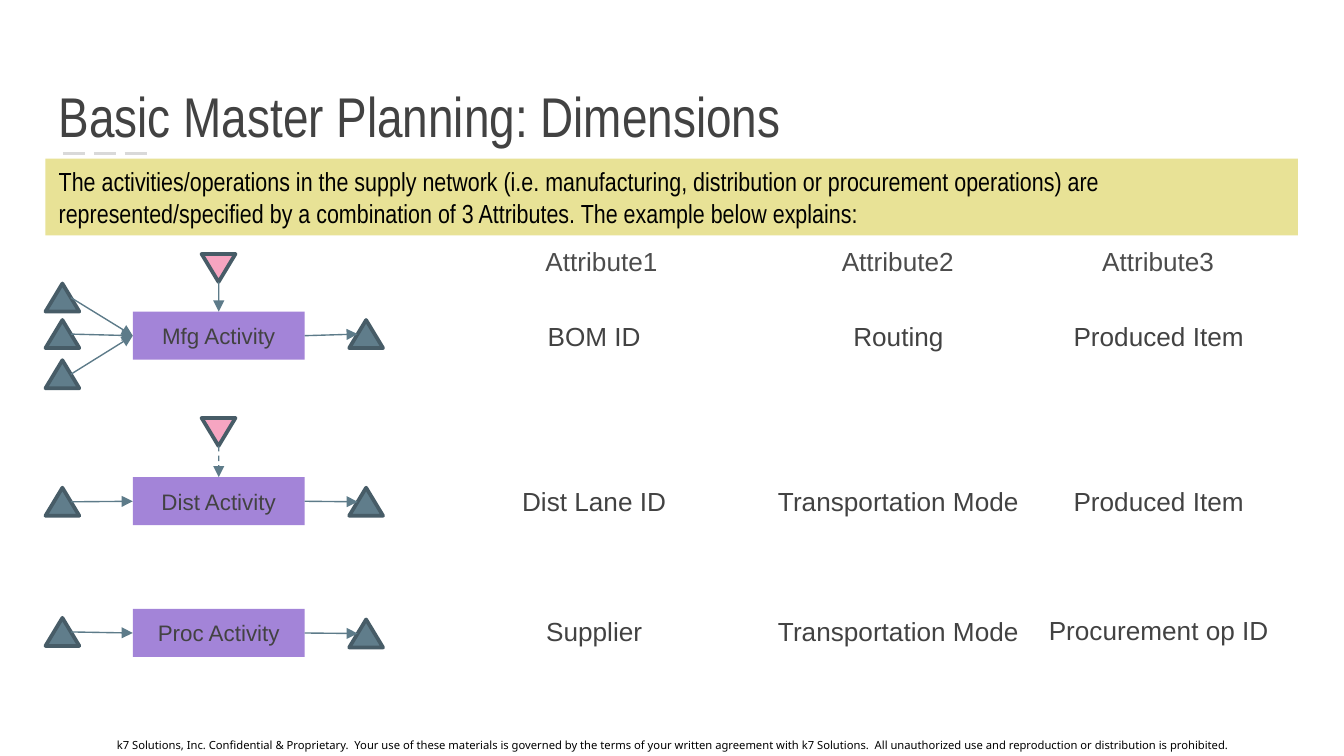
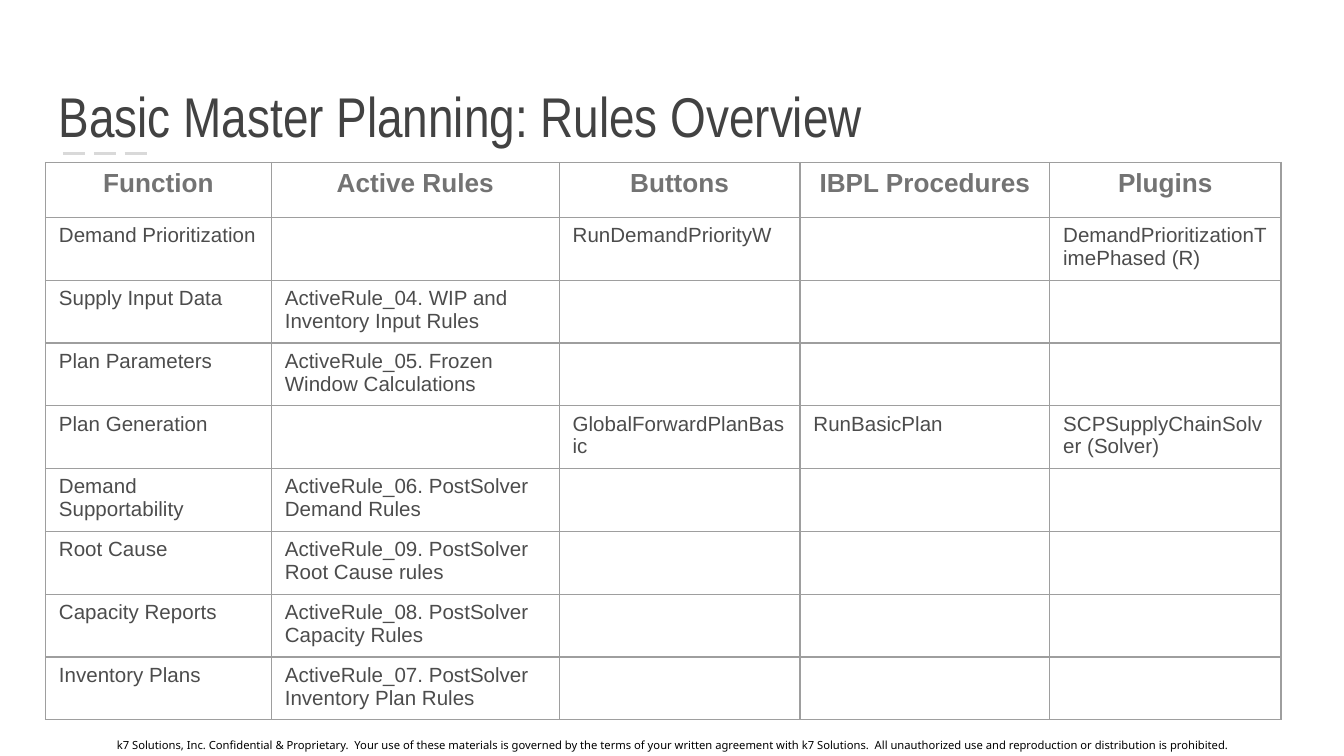
"""Two slides on basic master planning: dimensions and rules overview."""
from lxml.etree import SubElement
from pptx import Presentation
from pptx.dml.color import RGBColor
from pptx.enum.dml import MSO_LINE
from pptx.enum.shapes import MSO_CONNECTOR, MSO_SHAPE
from pptx.enum.text import MSO_ANCHOR, PP_ALIGN
from pptx.oxml.ns import qn
from pptx.util import Cm, Pt

COLORS = {
    "title": "424242", "text": "4C4C4C", "heading": "737373", "black": "000000",
    "rule": "D9D9D9", "band": "C9BA06", "activity": "A384D8", "material": "607D8B",
    "resource": "F6A5C1", "outline": "475C67", "arrow": "5D7B89", "border": "9E9E9E",
}
FOOTER = (
    "k7 Solutions, Inc. Confidential & Proprietary.  Your use of these materials is governed "
    "by the terms of your written agreement with k7 Solutions.  All unauthorized use and "
    "reproduction or distribution is prohibited."
)


def write(holder, text, size, color, font="Arial", align=PP_ALIGN.LEFT,
          anchor=MSO_ANCHOR.TOP, wrap=True, inset=0.13, bold=False):
    frame = holder.text_frame
    frame.word_wrap = wrap
    frame.vertical_anchor = anchor
    frame.margin_top = frame.margin_bottom = Cm(inset)
    paragraph = frame.paragraphs[0]
    paragraph.text = text
    paragraph.alignment = align
    paragraph.font.size = Pt(size)
    paragraph.font.name = font
    paragraph.font.bold = bold
    paragraph.font.color.rgb = RGBColor.from_string(COLORS[color])


def connect(slide, start, end, color="arrow", width=0.75, dash=None, arrow=True):
    link = slide.shapes.add_connector(
        MSO_CONNECTOR.STRAIGHT, *[Cm(value) for value in (*start, *end)])
    link.line.color.rgb = RGBColor.from_string(COLORS[color])
    link.line.width = Pt(width)
    if dash:
        link.line.dash_style = dash
    properties = link._element.spPr
    if arrow:
        SubElement(properties.find(qn("a:ln")), qn("a:tailEnd"), type="triangle")
    SubElement(properties, qn("a:effectLst"))
    return link


deck = Presentation()
deck.slide_width, deck.slide_height = Cm(25.4), Cm(14.29)

slides = []
for title in ("Dimensions", "Rules Overview"):
    slide = deck.slides.add_slide(deck.slide_layouts[6])
    connect(slide, (1.19, 2.9), (2.9, 2.9), "rule", 1.5, MSO_LINE.LONG_DASH, arrow=False)
    notice = slide.shapes.add_textbox(0, Cm(13.82), deck.slide_width, Cm(0.53))
    write(notice, FOOTER, 6, "black", "Noto Sans", PP_ALIGN.CENTER, MSO_ANCHOR.MIDDLE, inset=0.25)
    heading = slide.shapes.add_textbox(Cm(0.86), Cm(1.04), Cm(23.67), Cm(2.03))
    write(heading, f"Basic Master Planning: {title}", 30, "title", "Arial Narrow",
          anchor=MSO_ANCHOR.BOTTOM, inset=0.25)
    slides.append(slide)
dimensions, rules = slides

band = dimensions.shapes.add_shape(MSO_SHAPE.RECTANGLE, Cm(0.86), Cm(3), Cm(23.67), Cm(1.45))
band.shadow.inherit = False
band.fill.solid()
band.fill.fore_color.rgb = RGBColor.from_string(COLORS["band"])
SubElement(band._element.spPr.find(qn("a:solidFill"))[0], qn("a:alpha"), val="42000")
band.line.fill.background()
write(band, "The activities/operations in the supply network (i.e. manufacturing, distribution or "
      "procurement operations) are represented/specified by a combination of 3 Attributes. "
      "The example below explains:", 14, "black", "Arial Narrow")

INPUT_LEFT, RESOURCE_LEFT, OUTPUT_LEFT = 0.86, 3.81, 6.6
MARK_WIDTH, MARK_HEIGHT = 0.64, 0.53
ACTIVITY_LEFT, ACTIVITY_WIDTH, ACTIVITY_HEIGHT = 2.51, 3.25, 0.91

activities = [
    ("Mfg Activity", 5.89, (5.36, 6.05, 6.81), 6.05, 4.8, None),
    ("Dist Activity", 9.02, (9.22,), 9.22, 7.9, MSO_LINE.DASH),
    ("Proc Activity", 11.51, (11.68,), 11.71, None, None),
]
for name, top, inputs, output, resource, dash in activities:
    marks = [(INPUT_LEFT, source, "material") for source in inputs]
    marks.append((OUTPUT_LEFT, output, "material"))
    if resource:
        marks.append((RESOURCE_LEFT, resource, "resource"))
    for left, mark_top, kind in marks:
        mark = dimensions.shapes.add_shape(
            MSO_SHAPE.FLOWCHART_EXTRACT, Cm(left), Cm(mark_top), Cm(MARK_WIDTH), Cm(MARK_HEIGHT))
        mark.shadow.inherit = False
        mark.rotation = 180 if kind == "resource" else 0
        mark.fill.solid()
        mark.fill.fore_color.rgb = RGBColor.from_string(COLORS[kind])
        mark.line.color.rgb = RGBColor.from_string(COLORS["outline"])
        mark.line.width = Pt(2)

    activity = dimensions.shapes.add_shape(
        MSO_SHAPE.RECTANGLE, Cm(ACTIVITY_LEFT), Cm(top), Cm(ACTIVITY_WIDTH), Cm(ACTIVITY_HEIGHT))
    activity.shadow.inherit = False
    activity.fill.solid()
    activity.fill.fore_color.rgb = RGBColor.from_string(COLORS["activity"])
    activity.line.fill.background()
    write(activity, name, 12, "title", align=PP_ALIGN.CENTER, anchor=MSO_ANCHOR.MIDDLE)

    middle = top + ACTIVITY_HEIGHT / 2
    for source in inputs:
        start = (INPUT_LEFT + MARK_WIDTH * 0.75, source + MARK_HEIGHT / 2)
        connect(dimensions, start, (ACTIVITY_LEFT, middle)).end_connect(activity, 1)
    target = (OUTPUT_LEFT + MARK_WIDTH / 4, output + MARK_HEIGHT / 2)
    connect(dimensions, (ACTIVITY_LEFT + ACTIVITY_WIDTH, middle), target).begin_connect(activity, 3)
    if resource:
        center = ACTIVITY_LEFT + ACTIVITY_WIDTH / 2
        start = (center, resource + MARK_HEIGHT)
        connect(dimensions, start, (center, top), dash=dash).end_connect(activity, 0)

attributes = [
    (11.38, [("Attribute1", 4.5, 2.64)]),
    (11.23, [("BOM ID", 5.92, 2.29), ("Dist Lane ID", 9.04, 3.25), ("Supplier", 11.51, 2.34)]),
    (16.98, [("Attribute2", 4.5, 2.64), ("Routing", 5.92, 2.24),
             ("Transportation Mode", 9.04, 5.11), ("Transportation Mode", 11.51, 5.11)]),
    (21.9, [("Attribute3", 4.5, 2.64), ("Produced Item", 5.92, 3.73),
            ("Produced Item", 9.04, 3.73), ("Procurement op ID", 11.48, 4.67)]),
]
for center, values in attributes:
    for value, top, width in values:
        is_heading = value.startswith("Attribute")
        label = dimensions.shapes.add_textbox(Cm(center - width / 2), Cm(top), Cm(width), Cm(0.86))
        write(label, value, 14, "text" if is_heading else "title",
              align=PP_ALIGN.LEFT if is_heading else PP_ALIGN.CENTER, wrap=False)

overview = [
    ("Function", "Active Rules", "Buttons", "IBPL Procedures", "Plugins"),
    ("Demand Prioritization", "", "RunDemandPriorityW", "", "DemandPrioritizationTimePhased (R)"),
    ("Supply Input Data", "ActiveRule_04. WIP and Inventory Input Rules", "", "", ""),
    ("Plan Parameters", "ActiveRule_05. Frozen Window Calculations", "", "", ""),
    ("Plan Generation", "", "GlobalForwardPlanBasic", "RunBasicPlan",
     "SCPSupplyChainSolver (Solver)"),
    ("Demand Supportability", "ActiveRule_06. PostSolver Demand Rules", "", "", ""),
    ("Root Cause", "ActiveRule_09. PostSolver Root Cause rules", "", "", ""),
    ("Capacity Reports", "ActiveRule_08. PostSolver Capacity Rules", "", "", ""),
    ("Inventory Plans", "ActiveRule_07. PostSolver Inventory Plan Rules", "", "", ""),
]
column_widths = (4.27, 5.44, 4.55, 4.72, 4.37)
row_height = 1.04
grid = rules.shapes.add_table(
    len(overview), len(column_widths), Cm(0.86), Cm(3.07),
    Cm(sum(column_widths)), Cm(row_height * len(overview))).table
grid.first_row = grid.horz_banding = False
for column, width in zip(grid.columns, column_widths):
    column.width = Cm(width)
for row_index, entries in enumerate(overview):
    grid.rows[row_index].height = Cm(row_height)
    for column_index, entry in enumerate(entries):
        cell = grid.cell(row_index, column_index)
        if row_index == 0:
            write(cell, entry, 14, "heading", align=PP_ALIGN.CENTER, bold=True)
        else:
            write(cell, entry, 11, "text")
        properties = cell._tc.get_or_add_tcPr()
        for side in ("lnL", "lnR", "lnT", "lnB"):
            border = SubElement(properties, qn(f"a:{side}"), w=str(Pt(0.75)))
            paint = SubElement(border, qn("a:solidFill"))
            SubElement(paint, qn("a:srgbClr"), val=COLORS["border"])
        cell.fill.background()

deck.save("out.pptx")
